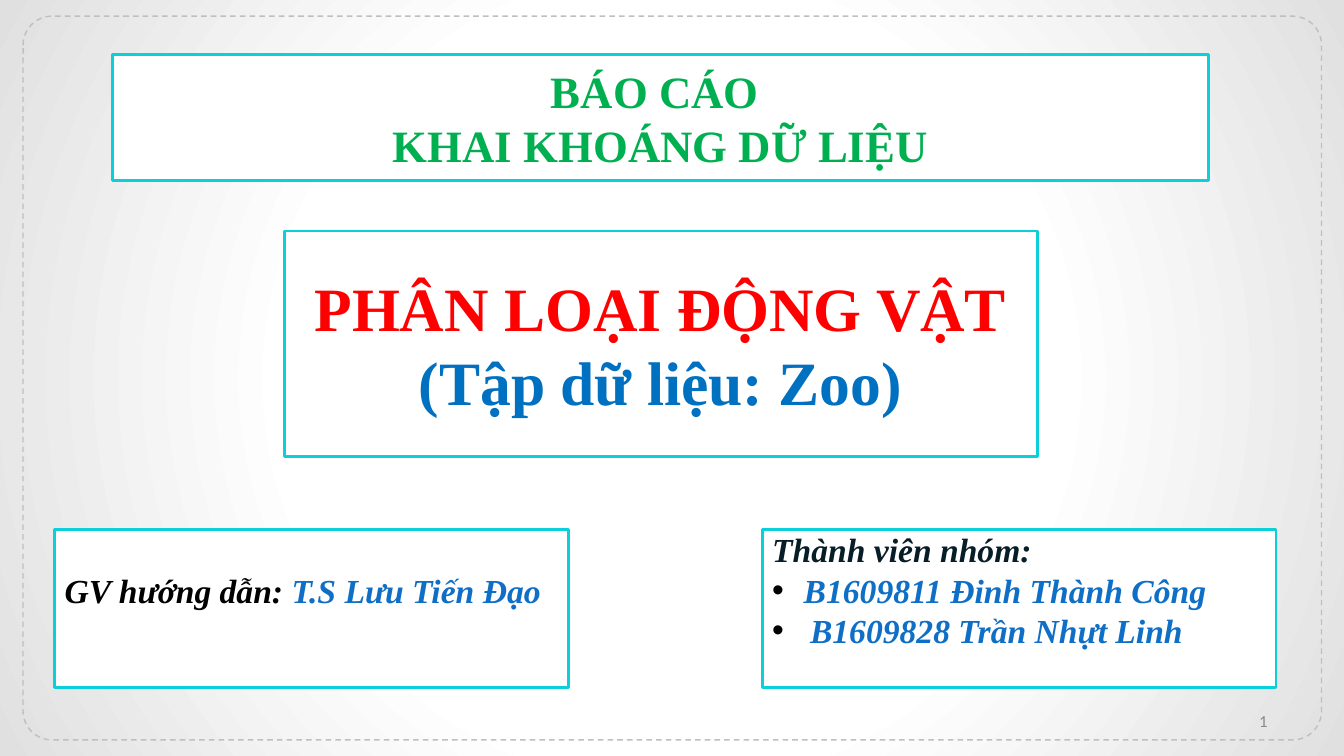
from lxml import etree
from pptx import Presentation
from pptx.dml.color import RGBColor
from pptx.enum import dml, shapes, text
from pptx.oxml import ns, parse_xml
from pptx.util import Pt

SERIF = "Times New Roman"
BLUE = "0F6FC6"


def color(value):
    """Return the colour for a hex string."""
    return RGBColor.from_string(value)


def paint_background(slide):
    """Fill the slide with a circular gradient from white to grey."""
    fill = slide.background.fill
    fill.gradient()
    for stop, (position, value) in zip(fill.gradient_stops, [(0.5, "FFFFFF"), (1, "E0E0E0")]):
        stop.position = position
        stop.color.rgb = color(value)
    gradient = slide.background._cSld.find(".//" + ns.qn("a:gradFill"))
    gradient.replace(gradient.find(ns.qn("a:lin")), parse_xml(
        f'<a:path {ns.nsdecls("a")} path="circle">'
        '<a:fillToRect l="50000" t="50000" r="50000" b="50000"/></a:path>'))


def add_frame(slide):
    """Draw the dashed rounded border around the slide."""
    frame = slide.shapes.add_shape(
        shapes.MSO_SHAPE.ROUNDED_RECTANGLE, Pt(16.5), Pt(11.5), Pt(927.5), Pt(517))
    frame.adjustments[0] = 0.04
    frame.shadow.inherit = False
    frame.fill.background()
    frame.line.color.rgb = color("BFBFBF")
    frame.line.width = Pt(1)
    frame.line.dash_style = dml.MSO_LINE.DASH


def add_panel(slide, left, top, width, height, inset=None):
    """Add a white box; an inset pins its text that far below the top."""
    panel = slide.shapes.add_shape(
        shapes.MSO_SHAPE.RECTANGLE, Pt(left), Pt(top), Pt(width), Pt(height))
    panel.shadow.inherit = False
    panel.fill.solid()
    panel.fill.fore_color.rgb = color("FFFFFF")
    panel.line.color.rgb = color("0BD0D9")
    panel.line.width = Pt(2)
    frame = panel.text_frame
    frame.word_wrap = True
    frame.vertical_anchor = text.MSO_ANCHOR.MIDDLE
    if inset is not None:
        frame.vertical_anchor = text.MSO_ANCHOR.TOP
        frame.margin_top = Pt(inset)
    return frame


def write_line(frame, runs, size, align=text.PP_ALIGN.LEFT, italic=False, indent=0):
    """Write one bold line of (wording, colour) runs, bulleted if indented."""
    first = frame.paragraphs[0]
    paragraph = frame.add_paragraph() if first.runs else first
    paragraph.alignment = align
    font = paragraph.font
    font.name, font.size, font.bold, font.italic = SERIF, Pt(size), True, italic
    for wording, value in runs:
        run = paragraph.add_run()
        run.text = wording
        run.font.color.rgb = color(value)
    if indent:
        add_bullet(paragraph, indent)


def add_bullet(paragraph, indent):
    """Give a paragraph a black bullet with a hanging indent."""
    properties = paragraph._p.get_or_add_pPr()
    properties.set("marL", str(Pt(indent)))
    properties.set("indent", str(Pt(-indent)))
    bullet_parts = parse_xml(
        f'<a:pPr {ns.nsdecls("a")}><a:buClr><a:srgbClr val="000000"/></a:buClr>'
        '<a:buFont typeface="Arial"/><a:buChar char="•"/></a:pPr>')
    for index, part in enumerate(list(bullet_parts)):
        properties.insert(index, part)


def add_slide_number(slide):
    """Add the slide number field at the lower right."""
    frame = slide.shapes.add_textbox(Pt(688.5), Pt(500.5), Pt(224), Pt(28.5)).text_frame
    frame.word_wrap = True
    frame.vertical_anchor = text.MSO_ANCHOR.MIDDLE
    paragraph = frame.paragraphs[0]
    paragraph.alignment = text.PP_ALIGN.RIGHT
    field = etree.SubElement(paragraph._p, ns.qn("a:fld"), type="slidenum",
                             id="{B6F15528-21DE-4FAA-801E-634DDDAF4B2B}")
    field.append(parse_xml(
        f'<a:rPr {ns.nsdecls("a")} lang="en-US" sz="1200"><a:solidFill>'
        '<a:srgbClr val="898989"/></a:solidFill><a:latin typeface="Calibri"/></a:rPr>'))
    etree.SubElement(field, ns.qn("a:t")).text = "1"


def main():
    """Build the title slide and save it."""
    presentation = Presentation()
    presentation.slide_width, presentation.slide_height = Pt(960), Pt(540)
    slide = presentation.slides.add_slide(presentation.slide_layouts[6])
    paint_background(slide)
    add_frame(slide)
    add_slide_number(slide)

    center = text.PP_ALIGN.CENTER
    report = add_panel(slide, 80.5, 39, 782.5, 90)
    for wording in ("BÁO CÁO ", "KHAI KHOÁNG DỮ LIỆU"):
        write_line(report, [(wording, "00B050")], 32, center)

    topic = add_panel(slide, 203, 165, 538, 161)
    write_line(topic, [("PHÂN LOẠI ĐỘNG VẬT", "FF0000")], 44, center)
    write_line(topic, [("(Tập dữ liệu: Zoo)", "0070C0")], 44, center)

    advisor = add_panel(slide, 39, 378, 367, 113, inset=29)
    write_line(advisor, [("GV hướng dẫn: ", "000000"), ("T.S Lưu Tiến Đạo", BLUE)],
               24, italic=True)

    members = add_panel(slide, 544.5, 378, 367, 113, inset=0)
    write_line(members, [("Thành viên nhóm:", "071D28")], 24, italic=True)
    for wording, indent in (("B1609811 Đinh Thành Công", 22.5),
                            ("B1609828 Trần Nhựt Linh", 27)):
        write_line(members, [(wording, BLUE)], 24, italic=True, indent=indent)

    presentation.save("out.pptx")


if __name__ == "__main__":
    main()
